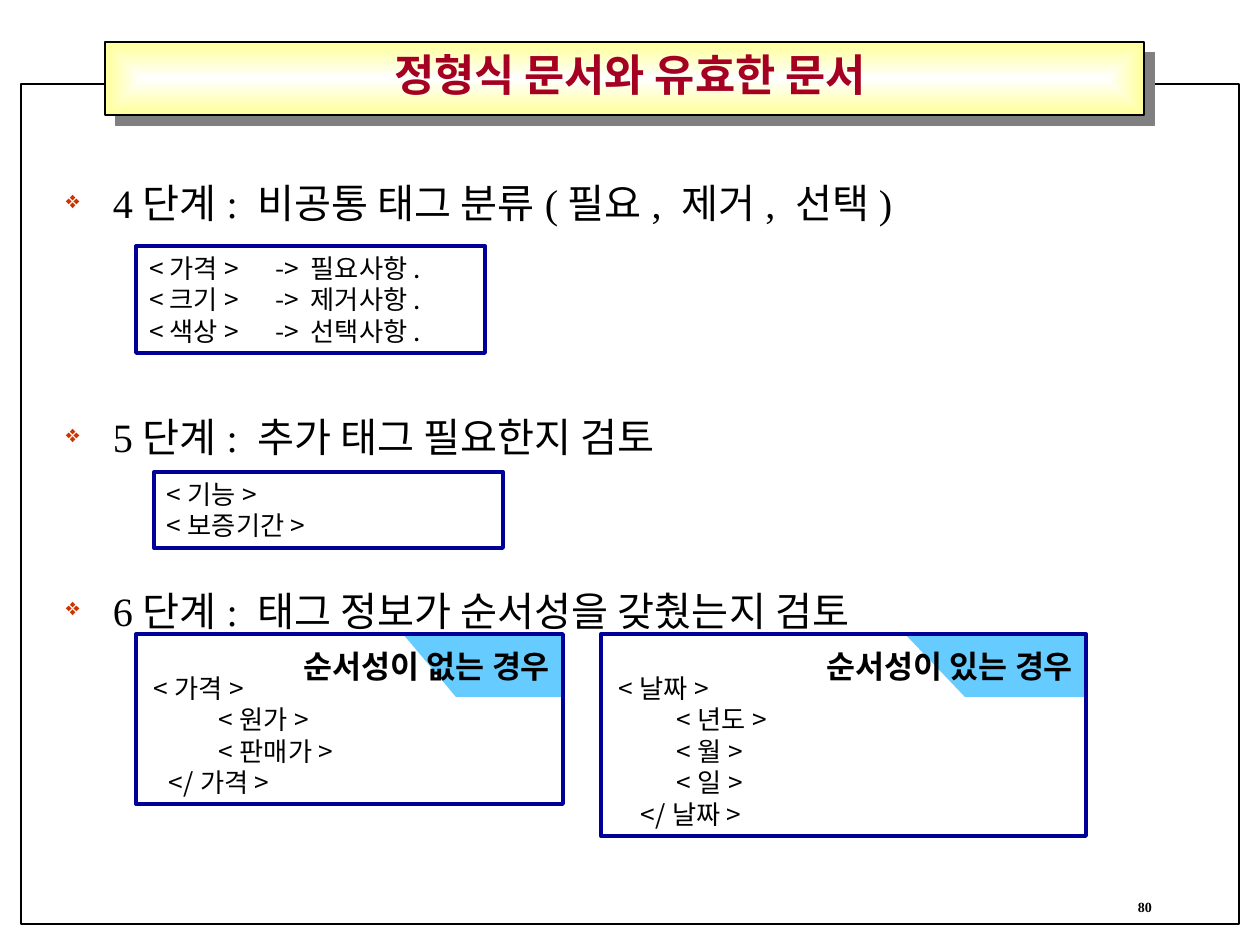
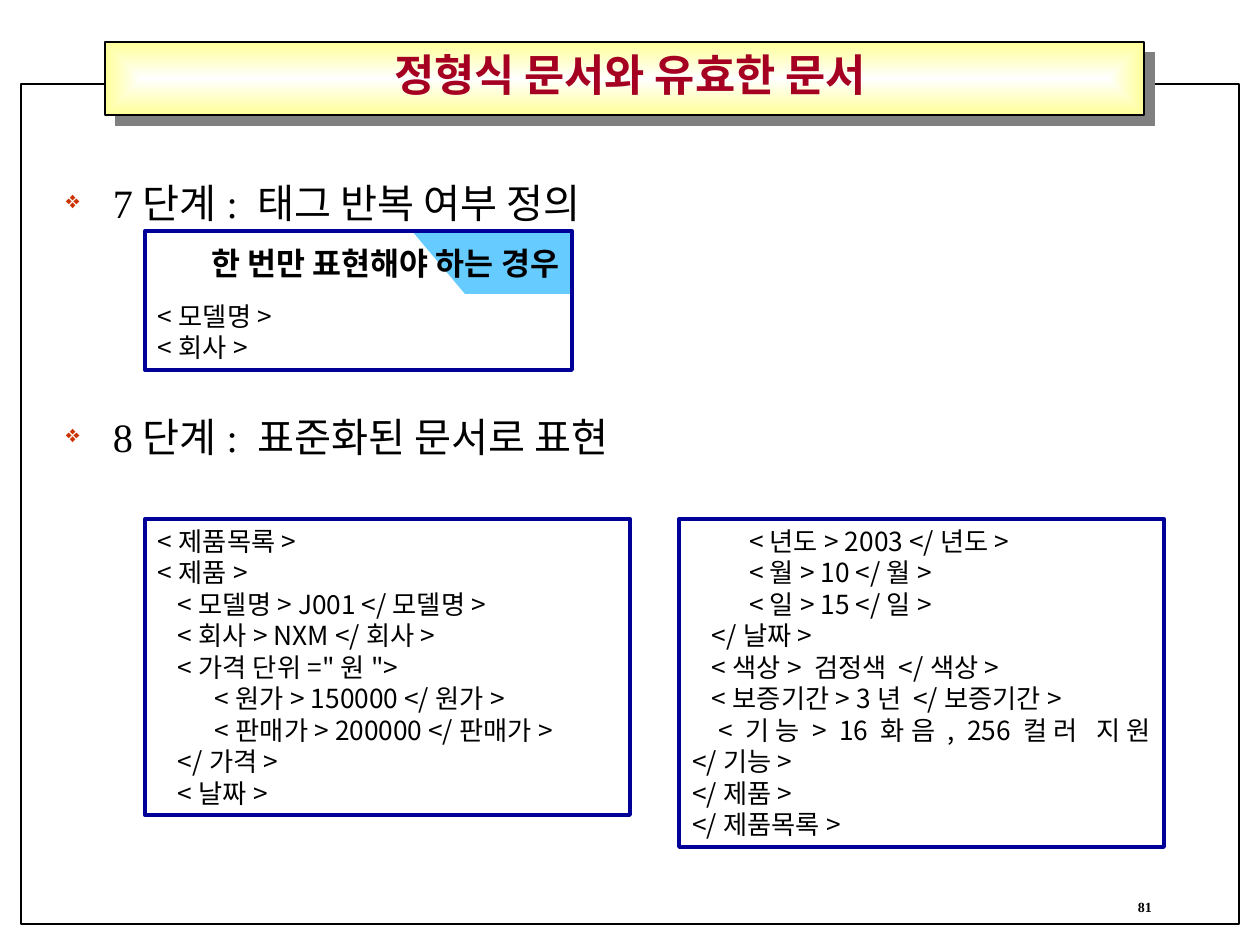
from lxml.etree import SubElement as Sub
from pptx import Presentation
from pptx.dml.color import RGBColor
from pptx.enum.shapes import MSO_SHAPE as Kind
from pptx.enum.text import MSO_ANCHOR as Anchor, PP_ALIGN as Align
from pptx.oxml import parse_xml
from pptx.oxml.ns import nsdecls, qn
from pptx.util import Pt

BLACK = RGBColor(0x00, 0x00, 0x00)
WHITE = RGBColor(0xFF, 0xFF, 0xFF)
CREAM = RGBColor(0xFF, 0xFF, 0x99)
GREY = RGBColor(0x80, 0x80, 0x80)
NAVY = RGBColor(0x00, 0x00, 0x99)
SKY = RGBColor(0x66, 0xCC, 0xFF)
WINE = RGBColor(0xA5, 0x00, 0x21)
RUST = RGBColor(0xCC, 0x33, 0x00)
SANS = "Noto Sans CJK KR"
SERIF = "Times New Roman"
TITLE = "정형식 문서와 유효한 문서"
LEAD = 30


def px(n):
    return round(n * 914400 / 126)


def write(shape, lines, size=15, font=SANS, color=BLACK, bold=False,
          align=Align.JUSTIFY, anchor=Anchor.TOP, lead=None, top=6,
          wrap=True, tab=None):
    frame = shape.text_frame
    frame.word_wrap = wrap
    frame.vertical_anchor = anchor
    frame.margin_left = frame.margin_right = px(13)
    frame.margin_top, frame.margin_bottom = px(top), px(6)
    for i, (shift, text) in enumerate(lines):
        para = frame.add_paragraph() if i else frame.paragraphs[0]
        para.alignment = align
        if lead:
            para.line_spacing = Pt(lead)
        props = para._p.get_or_add_pPr()
        props.set("marL", "0")
        props.set("indent", str(px(shift)))
        if tab:
            stops = Sub(props, qn("a:tabLst"))
            Sub(stops, qn("a:tab"), pos=str(px(tab)), algn="l")
        run = para.add_run()
        run.text = text
        run.font.size = Pt(size)
        run.font.bold = bold
        run.font.name = font
        run.font.color.rgb = color
        Sub(run._r.get_or_add_rPr(), qn("a:ea"), typeface=SANS)
    return frame


class Deck:
    def __init__(self):
        self.show = Presentation()
        self.show.slide_width = px(1260)
        self.show.slide_height = px(945)

    def start(self, number):
        self.slide = self.show.slides.add_slide(self.show.slide_layouts[5])
        self.shape(21, 84, 1218, 840, fill=WHITE, line=BLACK, width=0.75)
        self.band()
        self.title()
        write(self.box(903, 892, 262, 32), [(0, str(number))], size=8,
              font=SERIF, bold=True, align=Align.RIGHT)

    def box(self, x, y, w, h):
        return self.slide.shapes.add_textbox(px(x), px(y), px(w), px(h))

    def shape(self, x, y, w, h, kind=Kind.RECTANGLE, fill=None, line=None,
              width=2.25):
        item = self.slide.shapes.add_shape(kind, px(x), px(y), px(w), px(h))
        item.shadow.inherit = False
        if fill is None:
            item.fill.background()
        else:
            item.fill.solid()
            item.fill.fore_color.rgb = fill
        if line is None:
            item.line.fill.background()
        else:
            item.line.color.rgb = line
            item.line.width = Pt(width)
        return item

    def band(self):
        item = self.shape(105, 42, 1039, 73, fill=CREAM, line=BLACK,
                          width=0.75)
        props = item._element.spPr
        props.replace(props.find(qn("a:solidFill")), parse_xml(
            f'<a:gradFill {nsdecls("a")} rotWithShape="0"><a:gsLst>'
            f'<a:gs pos="0"><a:srgbClr val="{WHITE}"/></a:gs>'
            f'<a:gs pos="100000"><a:srgbClr val="{CREAM}"/></a:gs></a:gsLst>'
            '<a:path path="rect"><a:fillToRect l="50000" t="50000" '
            'r="50000" b="50000"/></a:path></a:gradFill>'))
        shade = Sub(props.find(qn("a:effectLst")), qn("a:outerShdw"),
                    dist=str(Pt(8.5)), dir="2700000", algn="ctr",
                    rotWithShape="0")
        Sub(shade, qn("a:srgbClr"), val=str(GREY))

    def title(self):
        item = self.slide.shapes.title
        item.left, item.top = px(105), px(32)
        item.width, item.height = px(1050), px(84)
        self.slide.shapes._spTree.append(item._element)
        write(item, [(0, TITLE)], size=25, color=WINE, bold=True,
              align=Align.CENTER, anchor=Anchor.MIDDLE)

    def steps(self, *items):
        frame = write(self.box(53, 168, 1155, 693),
                      [(-47, text) for gap, text in items], size=23,
                      font=SERIF, align=Align.LEFT, lead=LEAD)
        for para, (gap, text) in zip(frame.paragraphs, items):
            para.space_before = Pt(gap)
            props = para._p.get_or_add_pPr()
            props.set("marL", str(px(47)))
            tint = Sub(props, qn("a:buClr"))
            Sub(tint, qn("a:srgbClr"), val=str(RUST))
            Sub(props, qn("a:buSzPct"), val="60000")
            Sub(props, qn("a:buChar"), char="❖")

    def code(self, x, y, w, h, lines, top=6, tab=None):
        item = self.shape(x, y, w, h, line=NAVY)
        write(item, lines, lead=18, top=top, tab=tab)

    def case(self, x, y, w, h, label, lines, slant, flat, top=38):
        edge = x + w - flat
        wedge = self.shape(edge - slant, y, slant, 63,
                           kind=Kind.RIGHT_TRIANGLE, fill=SKY)
        wedge.rotation = 180
        tag = self.shape(edge, y, flat, 63, fill=SKY)
        write(tag, [(0, label)], size=18, bold=True, align=Align.RIGHT,
              anchor=Anchor.MIDDLE, wrap=False)
        self.code(x, y, w, h, lines, top=top)


def main():
    deck = Deck()
    deck.start(80)
    deck.steps((0, "4단계: 비공통 태그 분류(필요, 제거, 선택)"),
               (104, "5단계: 추가 태그 필요한지 검토"),
               (69, "6단계: 태그 정보가 순서성을 갖췄는지 검토"))
    deck.code(136, 246, 349, 107, [
        (0, "<가격>\t-> 필요사항."),
        (0, "<크기>\t-> 제거사항."),
        (0, "<색상>\t-> 선택사항.")], tab=110)
    deck.code(154, 472, 349, 76, [(0, "<기능>"), (0, "<보증기간>")])
    deck.case(136, 634, 427, 170, "순서성이 없는 경우", [
        (5, "<가격>"), (70, "<원가>"), (70, "<판매가>"), (20, "</가격>")],
        slant=53, flat=107)
    deck.case(601, 634, 485, 202, "순서성이 있는 경우", [
        (5, "<날짜>"), (63, "<년도>"), (63, "<월>"), (63, "<일>"),
        (27, "</날짜>")], slant=60, flat=121)

    deck.start(81)
    deck.steps((0, "7단계: 태그 반복 여부 정의"),
               (104, "8단계: 표준화된 문서로 표현"))
    deck.case(145, 231, 427, 139, "한 번만 표현해야 하는 경우", [
        (0, "<모델명>"), (0, "<회사>")], slant=53, flat=107, top=69)
    deck.code(145, 519, 485, 296, [
        (0, "<제품목록>"),
        (0, "<제품>"),
        (20, "<모델명> J001 </모델명>"),
        (20, "<회사> NXM </회사>"),
        (20, "<가격 단위=\"원\">"),
        (57, "<원가> 150000 </원가>"),
        (57, "<판매가> 200000 </판매가>"),
        (20, "</가격>"),
        (20, "<날짜>")])
    deck.code(679, 519, 485, 328, [
        (57, "<년도> 2003 </년도>"),
        (57, "<월> 10 </월>"),
        (57, "<일> 15 </일>"),
        (20, "</날짜>"),
        (20, "<색상> 검정색 </색상>"),
        (20, "<보증기간> 3년 </보증기간>"),
        (26, "<기능> 16화음, 256컬러 지원 </기능>"),
        (0, "</제품>"),
        (0, "</제품목록>")])
    deck.show.save("out.pptx")


if __name__ == "__main__":
    main()
